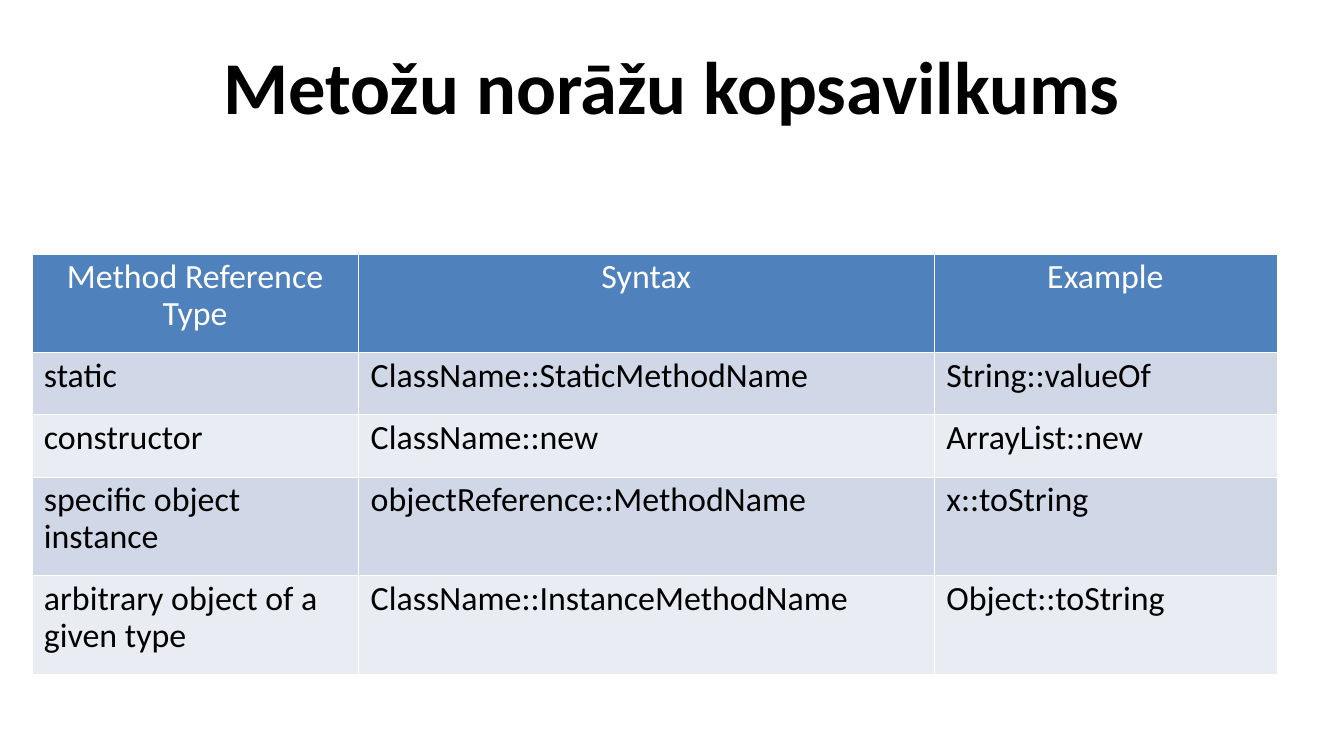
"""Build a slide that sums up Java method references."""
import lxml.etree
import pptx
import pptx.dml.color
import pptx.enum.text
import pptx.oxml.ns
import pptx.util

Inches = pptx.util.Inches
Pt = pptx.util.Pt
ALIGN = pptx.enum.text.PP_ALIGN

FONT = "Calibri"
BLACK, WHITE = "000000", "FFFFFF"
HEADER_FILL = "4F81BD"
BAND_FILLS = ("E9ECF3", "D0D8E7")
TITLE_BOX = (0.55, 0.25, 9.92, 1.03)
TABLE_BOX = (0.26, 2.08, 10.21, 3.45)
COLUMN_WIDTHS = (2.68, 4.72, 2.81)
ROW_HEIGHTS = (0.81, 0.51, 0.51, 0.81, 0.81)
METHOD_REFERENCES = (
    ("Method Reference Type", "Syntax", "Example"),
    ("static", "ClassName::StaticMethodName", "String::valueOf"),
    ("constructor", "ClassName::new", "ArrayList::new"),
    ("specific object instance", "objectReference::MethodName", "x::toString"),
    ("arbitrary object of a given type", "ClassName::InstanceMethodName", "Object::toString"),
)


def colour(value):
    """Turn a hex string into a colour."""
    return pptx.dml.color.RGBColor.from_string(value)


def format_para(para, size, ink, align, spacing, bold=False):
    """Set the font, alignment and line spacing of a paragraph."""
    para.alignment = align
    para.line_spacing = spacing
    para.font.name = FONT
    para.font.size = Pt(size)
    para.font.bold = bold
    para.font.color.rgb = colour(ink)


def add_borders(cell, ink, width):
    """Draw a thin line along all four sides of a cell."""
    qn = pptx.oxml.ns.qn
    properties = cell._tc.get_or_add_tcPr()
    for side in ("a:lnL", "a:lnR", "a:lnT", "a:lnB"):
        line = lxml.etree.SubElement(properties, qn(side), w=str(Pt(width)))
        fill = lxml.etree.SubElement(line, qn("a:solidFill"))
        lxml.etree.SubElement(fill, qn("a:srgbClr"), val=ink)


def fill_title(page, box, text):
    """Place and format the title placeholder."""
    title = page.shapes.title
    title.left, title.top, title.width, title.height = map(Inches, box)
    frame = title.text_frame
    frame.text = text
    frame.word_wrap = True
    frame.auto_size = pptx.enum.text.MSO_AUTO_SIZE.NONE
    frame.vertical_anchor = pptx.enum.text.MSO_ANCHOR.MIDDLE
    format_para(frame.paragraphs[0], 44, BLACK, ALIGN.CENTER, 0.8, bold=True)


def add_reference_table(page, box, rows):
    """Add the table with a header row and banded body rows."""
    table = page.shapes.add_table(len(rows), len(rows[0]), *map(Inches, box)).table
    for column, width in zip(table.columns, COLUMN_WIDTHS):
        column.width = Inches(width)
    for index, (row, height, texts) in enumerate(zip(table.rows, ROW_HEIGHTS, rows)):
        row.height = Inches(height)
        is_header = index == 0
        fill = HEADER_FILL if is_header else BAND_FILLS[index % 2]
        ink = WHITE if is_header else BLACK
        align = ALIGN.CENTER if is_header else ALIGN.LEFT
        for cell, text in zip(row.cells, texts):
            cell.text = text
            add_borders(cell, WHITE, 0.06)
            cell.fill.solid()
            cell.fill.fore_color.rgb = colour(fill)
            format_para(cell.text_frame.paragraphs[0], 20, ink, align, 0.88)


def main():
    """Build the deck and save it."""
    deck = pptx.Presentation()
    deck.slide_width, deck.slide_height = Inches(11.02), Inches(6.2)
    page = deck.slides.add_slide(deck.slide_layouts.get_by_name("Title Only"))
    fill_title(page, TITLE_BOX, "Metožu norāžu kopsavilkums")
    add_reference_table(page, TABLE_BOX, METHOD_REFERENCES)
    deck.save("out.pptx")


if __name__ == "__main__":
    main()
